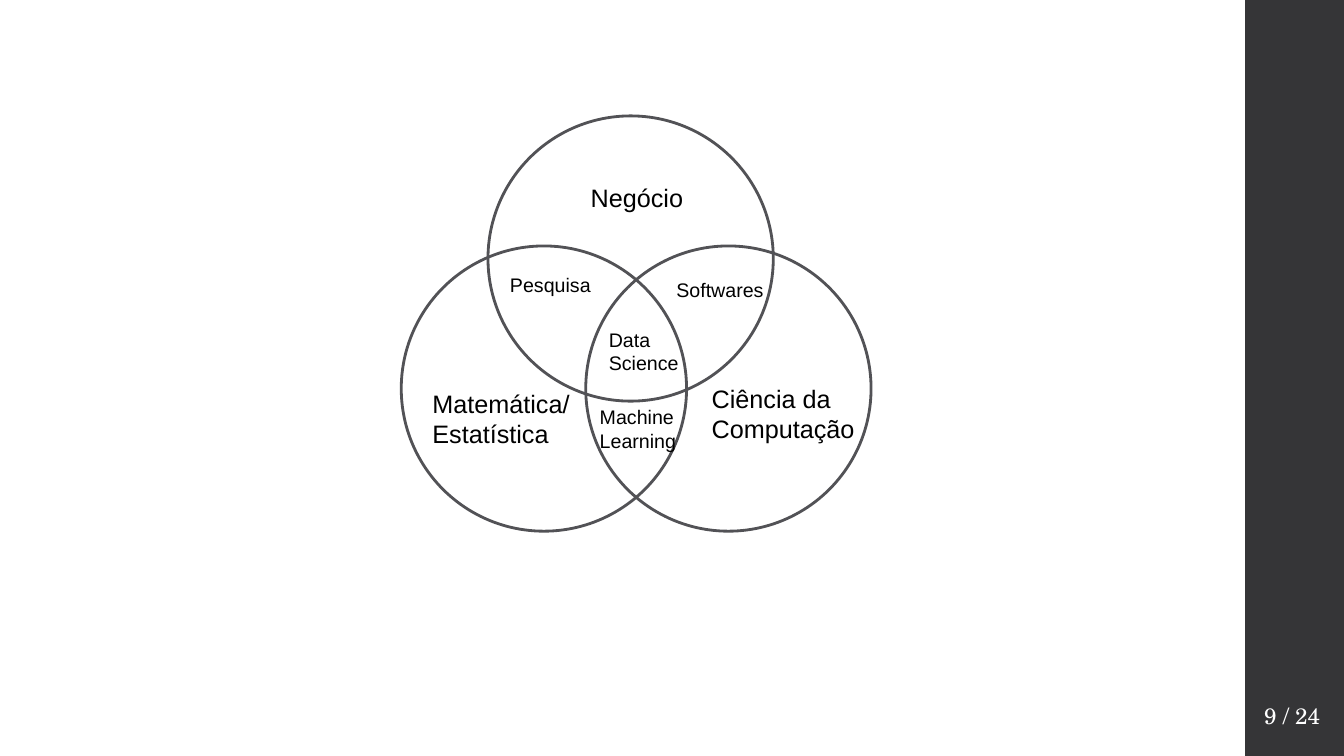
"""Build the data science Venn diagram slide."""
from pptx import Presentation
from pptx.dml.color import RGBColor
from pptx.enum.shapes import MSO_SHAPE
from pptx.util import Pt

RECT, OVAL = MSO_SHAPE.RECTANGLE, MSO_SHAPE.OVAL
PX = 9144
WIDE, HIGH = 1333, 750
COLORS = {"bar": "353537", "ring": "525256", "text": "000000", "page": "FFFFFF"}
SANS, SERIF = "Arial", "TeX Gyre Schola"

BAR = (1235, 0, WIDE - 1235, HIGH)
RING = 283
RINGS = [(484, 115), (398, 244), (581, 244)]
LABELS = [
    ("Matemática/\nEstatística", (419, 380, 169, 71), 18),
    ("Ciência da Computação", (696, 375, 169, 71), 18),
    ("Machine Learning", (585, 397, 96, 57), 14),
    ("Negócio", (576, 176, 114, 40), 18),
    ("Pesquisa", (496, 266, 106, 34), 14),
    ("Softwares", (661, 271, 114, 34), 14),
    ("Data Science", (594, 320, 96, 57), 14),
]
PAGE = ("9 / 24", (1244, 692, 89, 37), 16)


def rgb(name):
    return RGBColor.from_string(COLORS[name])


def emu(box):
    return [n * PX for n in box]


def add_shape(slide, kind, box):
    shape = slide.shapes.add_shape(kind, *emu(box))
    shape.shadow.inherit = False
    return shape


def add_label(slide, text, box, size, face=SANS, color="text"):
    frame = slide.shapes.add_textbox(*emu(box)).text_frame
    frame.word_wrap = True
    frame.text = text
    for para in frame.paragraphs:
        para.font.name = face
        para.font.size = Pt(size)
        para.font.color.rgb = rgb(color)


def main():
    deck = Presentation()
    deck.slide_width, deck.slide_height = emu((WIDE, HIGH))
    slide = deck.slides.add_slide(deck.slide_layouts[6])

    bar = add_shape(slide, RECT, BAR)
    bar.fill.solid()
    bar.fill.fore_color.rgb = rgb("bar")
    bar.line.fill.background()
    add_label(slide, *PAGE, SERIF, "page")

    for left, top in RINGS:
        ring = add_shape(slide, OVAL, (left, top, RING, RING))
        ring.fill.background()
        ring.line.color.rgb = rgb("ring")
        ring.line.width = Pt(2)
    for label in LABELS:
        add_label(slide, *label)

    deck.save("out.pptx")


if __name__ == "__main__":
    main()
